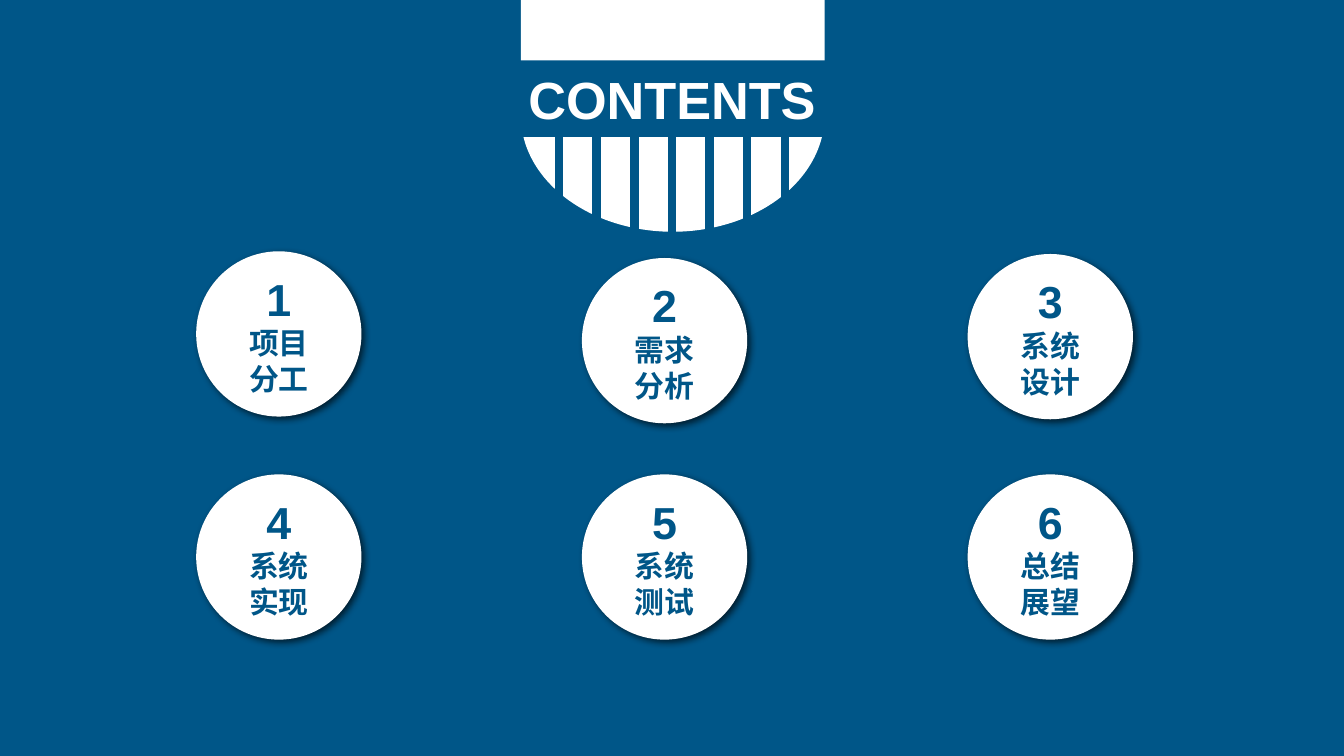
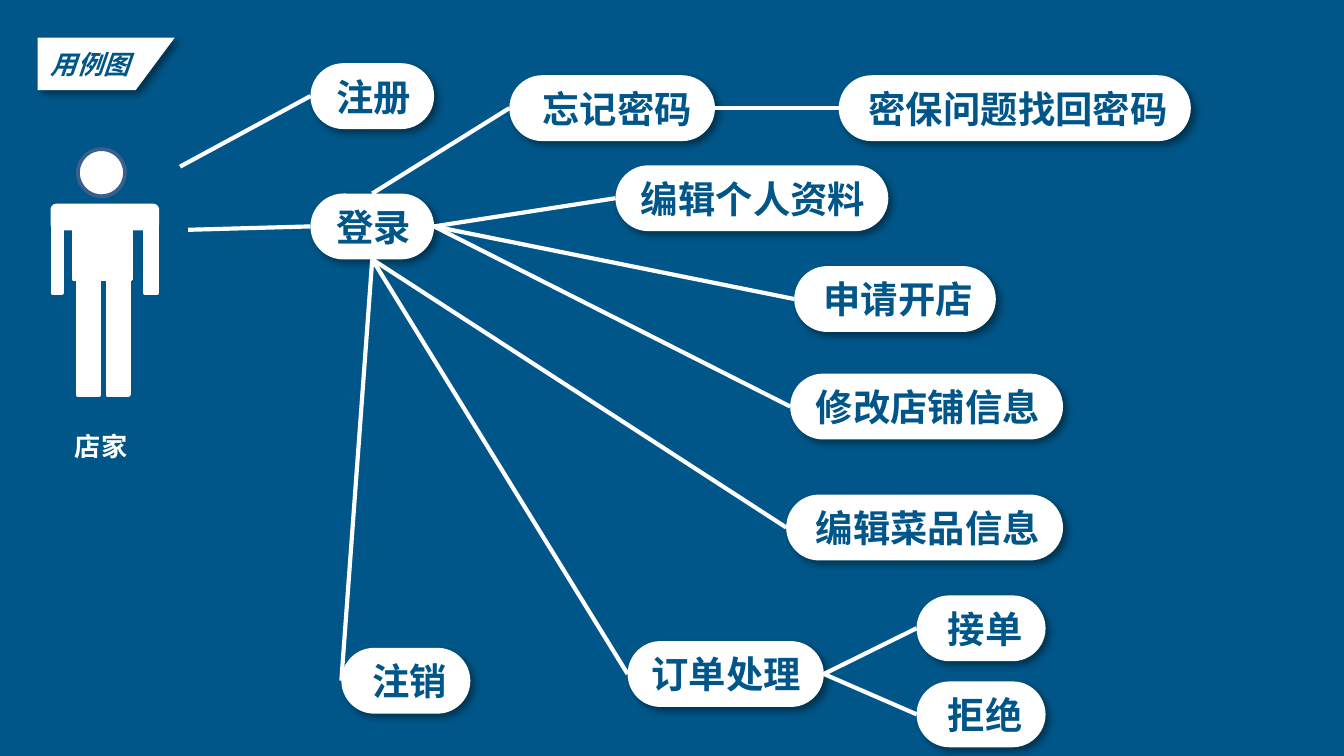
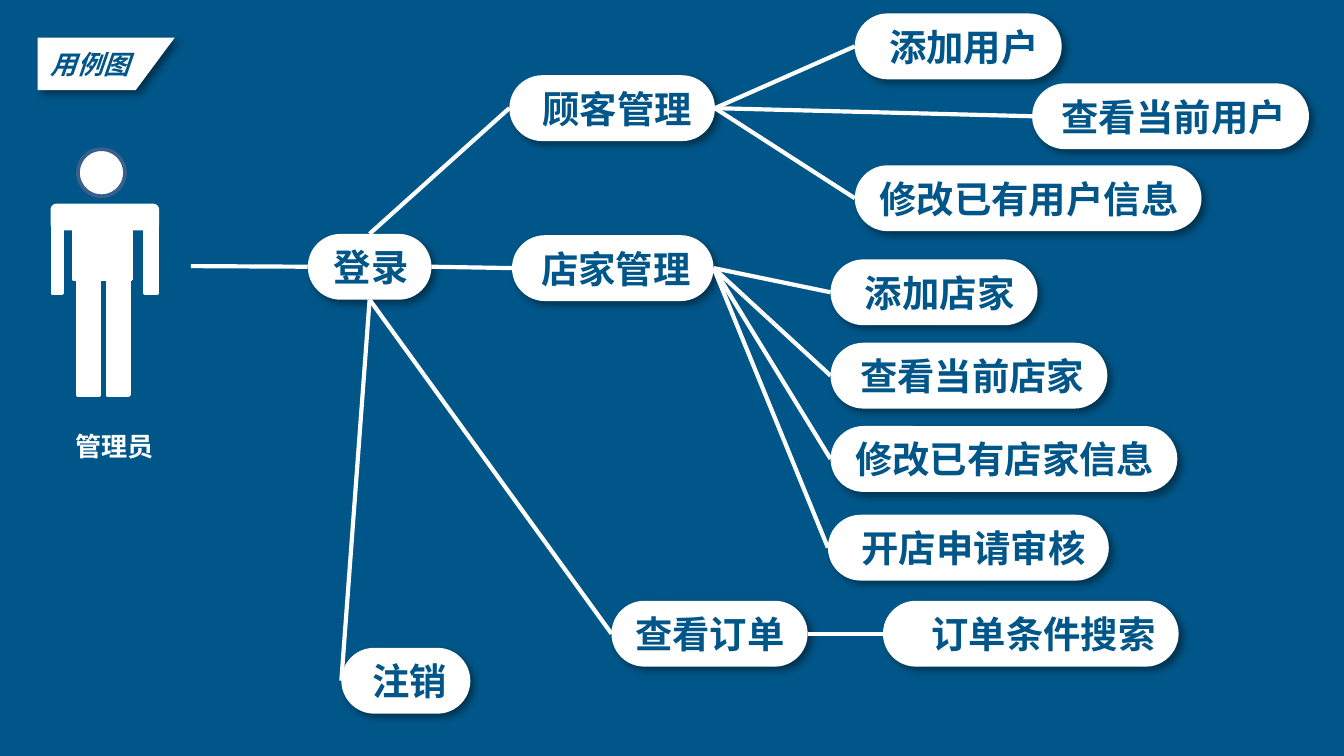
from dataclasses import dataclass
from typing import NamedTuple, Optional

from lxml.etree import SubElement
from pptx import Presentation
from pptx.dml.color import RGBColor
from pptx.enum.shapes import MSO_CONNECTOR, MSO_SHAPE
from pptx.enum.text import MSO_ANCHOR, MSO_AUTO_SIZE, PP_ALIGN
from pptx.oxml.ns import qn
from pptx.util import Inches, Pt


class Shadow(NamedTuple):
    opacity: int
    blur: int
    distance: int


@dataclass(frozen=True)
class Theme:
    blue: RGBColor = RGBColor(0x00, 0x56, 0x88)
    white: RGBColor = RGBColor(0xFF, 0xFF, 0xFF)
    head_line: RGBColor = RGBColor(0x3A, 0x5F, 0x8C)
    latin: str = "Arial"
    chinese: str = "Noto Sans CJK SC"
    title: int = 28
    number: int = 24
    pill: int = 20
    topic: int = 16
    label: int = 14
    link: float = 2.25
    stripe: float = 4.5
    figure: float = 2
    circle_shadow: Shadow = Shadow(65, 4, 2)
    pill_shadow: Shadow = Shadow(40, 4, 3)


class Box(NamedTuple):
    left: float
    top: float
    width: float
    height: float


class Topic(NamedTuple):
    top: float
    lines: tuple[str, str]


class Pill(NamedTuple):
    text: str
    left: float
    top: float
    width: float


class Link(NamedTuple):
    source: str
    side: int
    target: str


class ActorLink(NamedTuple):
    x: float
    y: float
    target: str


class UseCases(NamedTuple):
    actor: str
    label_width: float
    pills: list[Pill]
    actor_links: list[ActorLink]
    links: list[Link]


THEME = Theme()
TOP, LEFT, BOTTOM, RIGHT = range(4)
PILL_HEIGHT = 0.49
CIRCLE = 1.23
COLUMN_LEFT, COLUMN_STEP = 1.46, 2.87
STRIPE_LEFT, STRIPE_STEP, STRIPE_COUNT = 4.16, 0.28, 7

TOPICS = [
    Topic(1.87, ("项目", "分工")),
    Topic(1.92, ("需求", "分析")),
    Topic(1.89, ("系统", "设计")),
    Topic(3.53, ("系统", "实现")),
    Topic(3.53, ("系统", "测试")),
    Topic(3.53, ("总结", "展望")),
]

HEAD = Box(0.58, 1.11, 0.35, 0.35)
SHOULDERS = Box(0.39, 1.53, 0.78, 0.17)
BODY = [
    Box(0.55, 1.54, 0.43, 0.54),
    Box(0.39, 1.56, 0.07, 0.62),
    Box(1.08, 1.56, 0.09, 0.62),
    Box(0.58, 2.08, 0.16, 0.86),
    Box(0.80, 2.08, 0.16, 0.86),
]

SHOPKEEPER = UseCases(
    "店家", 0.63,
    [
        Pill("注册", 2.31, 0.47, 0.92),
        Pill("登录", 2.31, 1.44, 0.92),
        Pill("忘记密码", 3.79, 0.56, 1.53),
        Pill("密保问题找回密码", 6.24, 0.56, 2.62),
        Pill("编辑个人资料", 4.58, 1.23, 2.03),
        Pill("申请开店", 5.91, 1.98, 1.5),
        Pill("修改店铺信息", 5.88, 2.78, 2.03),
        Pill("编辑菜品信息", 5.85, 3.68, 2.06),
        Pill("订单处理", 4.67, 4.77, 1.46),
        Pill("接单", 6.82, 4.43, 0.96),
        Pill("拒绝", 6.82, 5.07, 0.96),
        Pill("注销", 2.54, 4.82, 0.96),
    ],
    [ActorLink(1.34, 1.24, "注册"), ActorLink(1.4, 1.71, "登录")],
    [
        Link("登录", TOP, "忘记密码"),
        Link("忘记密码", RIGHT, "密保问题找回密码"),
        Link("登录", RIGHT, "编辑个人资料"),
        Link("登录", RIGHT, "申请开店"),
        Link("登录", RIGHT, "修改店铺信息"),
        Link("登录", BOTTOM, "编辑菜品信息"),
        Link("登录", BOTTOM, "订单处理"),
        Link("登录", BOTTOM, "注销"),
        Link("订单处理", RIGHT, "接单"),
        Link("订单处理", RIGHT, "拒绝"),
    ],
)

ADMINISTRATOR = UseCases(
    "管理员", 0.88,
    [
        Pill("登录", 2.29, 1.74, 0.92),
        Pill("顾客管理", 3.79, 0.56, 1.53),
        Pill("添加用户", 6.36, 0.1, 1.54),
        Pill("查看当前用户", 7.68, 0.62, 2.06),
        Pill("修改已有用户信息", 6.36, 1.23, 2.58),
        Pill("店家管理", 3.81, 1.75, 1.5),
        Pill("添加店家", 6.18, 1.93, 1.54),
        Pill("查看当前店家", 6.18, 2.55, 2.06),
        Pill("修改已有店家信息", 6.18, 3.17, 2.58),
        Pill("开店申请审核", 6.16, 3.83, 2.09),
        Pill("查看订单", 4.55, 4.47, 1.46),
        Pill("订单条件搜索", 6.57, 4.47, 2.2),
        Pill("注销", 2.54, 4.82, 0.96),
    ],
    [ActorLink(1.42, 1.98, "登录")],
    [
        Link("登录", TOP, "顾客管理"),
        Link("顾客管理", RIGHT, "添加用户"),
        Link("顾客管理", RIGHT, "查看当前用户"),
        Link("顾客管理", RIGHT, "修改已有用户信息"),
        Link("登录", RIGHT, "店家管理"),
        Link("店家管理", RIGHT, "添加店家"),
        Link("店家管理", RIGHT, "查看当前店家"),
        Link("店家管理", RIGHT, "修改已有店家信息"),
        Link("店家管理", RIGHT, "开店申请审核"),
        Link("登录", BOTTOM, "查看订单"),
        Link("查看订单", RIGHT, "订单条件搜索"),
        Link("登录", BOTTOM, "注销"),
    ],
)


def new_slide(prs):
    s = prs.slides.add_slide(prs.slide_layouts[6])
    s.background.fill.solid()
    s.background.fill.fore_color.rgb = THEME.blue
    return s


def paint(sp, fill: RGBColor = THEME.white, line: Optional[RGBColor] = None,
          shadow: Optional[Shadow] = None) -> None:
    sp.fill.solid()
    sp.fill.fore_color.rgb = fill
    if line is None:
        sp.line.fill.background()
    else:
        sp.line.color.rgb = line
        sp.line.width = Pt(THEME.figure)
    sp.shadow.inherit = False
    if shadow:
        effects = sp._element.spPr.find(qn("a:effectLst"))
        outer = SubElement(effects, qn("a:outerShdw"), blurRad=str(Pt(shadow.blur)),
                           dist=str(Pt(shadow.distance)), dir=str(45 * 60000),
                           algn="tl", rotWithShape="0")
        color = SubElement(outer, qn("a:srgbClr"), val="000000")
        SubElement(color, qn("a:alpha"), val=str(shadow.opacity * 1000))


def add_box(s, kind: MSO_SHAPE, box: Box, **style):
    sp = s.shapes.add_shape(kind, *map(Inches, box))
    paint(sp, **style)
    return sp


def write(p, text: str, size: int, color: RGBColor = THEME.blue, font: str = THEME.chinese,
          align: PP_ALIGN = PP_ALIGN.LEFT, italic: bool = False) -> None:
    p.add_run().text = text
    p.alignment = align
    p.font.size = Pt(size)
    p.font.bold = True
    p.font.italic = italic
    p.font.color.rgb = color
    p.font.name = font
    SubElement(p._p.pPr.find(qn("a:defRPr")), qn("a:ea"), typeface=font)


def add_line(s, x1: float, y1: float, x2: float, y2: float,
             color: RGBColor = THEME.white, width: float = THEME.link):
    line = s.shapes.add_connector(MSO_CONNECTOR.STRAIGHT, *map(Inches, (x1, y1, x2, y2)))
    line.line.color.rgb = color
    line.line.width = Pt(width)
    SubElement(line._element.spPr, qn("a:effectLst"))
    return line


def add_circle(s, index: int, topic: Topic) -> None:
    left = COLUMN_LEFT + index % 3 * COLUMN_STEP
    sp = add_box(s, MSO_SHAPE.OVAL, Box(left, topic.top, CIRCLE, CIRCLE),
                 shadow=THEME.circle_shadow)
    tf = sp.text_frame
    tf.word_wrap = True
    tf.vertical_anchor = MSO_ANCHOR.MIDDLE
    write(tf.paragraphs[0], str(index + 1), THEME.number, font=THEME.latin,
          align=PP_ALIGN.CENTER)
    for text in topic.lines:
        write(tf.add_paragraph(), text, THEME.topic, align=PP_ALIGN.CENTER)


def contents_slide(prs) -> None:
    s = new_slide(prs)
    badge = add_box(s, MSO_SHAPE.FLOWCHART_DELAY, Box(4.14, -0.27, 1.73, 2.26))
    badge.rotation = 90
    band = add_box(s, MSO_SHAPE.RECTANGLE, Box(3.62, 0.45, 2.76, 0.57), fill=THEME.blue)
    tf = band.text_frame
    tf.word_wrap = True
    tf.auto_size = MSO_AUTO_SIZE.SHAPE_TO_FIT_TEXT
    tf.vertical_anchor = MSO_ANCHOR.TOP
    write(tf.paragraphs[0], "CONTENTS", THEME.title, THEME.white, THEME.latin,
          PP_ALIGN.CENTER)
    for i in range(STRIPE_COUNT):
        x = STRIPE_LEFT + i * STRIPE_STEP
        add_line(s, x, 0.99, x, 1.89, THEME.blue, THEME.stripe)
    for i, topic in enumerate(TOPICS):
        add_circle(s, i, topic)


def add_tag(s, text: str) -> None:
    builder = s.shapes.build_freeform(Inches(0.28), Inches(0.28))
    corners = [(1.3, 0.28), (1.01, 0.67), (0.28, 0.67)]
    builder.add_line_segments([(Inches(x), Inches(y)) for x, y in corners], close=True)
    sp = builder.convert_to_shape()
    paint(sp, shadow=THEME.pill_shadow)
    tf = sp.text_frame
    tf.word_wrap = True
    tf.vertical_anchor = MSO_ANCHOR.MIDDLE
    write(tf.paragraphs[0], text, THEME.label, italic=True)


def add_actor(s, name: str, label_width: float) -> None:
    add_box(s, MSO_SHAPE.OVAL, HEAD, line=THEME.head_line)
    for part in BODY:
        add_box(s, MSO_SHAPE.RECTANGLE, part, line=THEME.white)
    add_box(s, MSO_SHAPE.ROUNDED_RECTANGLE, SHOULDERS, line=THEME.white)
    label = s.shapes.add_textbox(*map(Inches, (0.46, 3.04, label_width, 0.45)))
    tf = label.text_frame
    tf.word_wrap = True
    tf.auto_size = MSO_AUTO_SIZE.SHAPE_TO_FIT_TEXT
    p = tf.paragraphs[0]
    p.line_spacing = 1.5
    write(p, name, THEME.label, THEME.white)


def add_pill(s, pill: Pill):
    sp = add_box(s, MSO_SHAPE.ROUNDED_RECTANGLE,
                 Box(pill.left, pill.top, pill.width, PILL_HEIGHT),
                 shadow=THEME.pill_shadow)
    sp.adjustments[0] = 0.5
    tf = sp.text_frame
    tf.word_wrap = True
    tf.vertical_anchor = MSO_ANCHOR.MIDDLE
    write(tf.paragraphs[0], pill.text, THEME.pill, align=PP_ALIGN.RIGHT)
    return sp


def use_case_slide(prs, cases: UseCases) -> None:
    s = new_slide(prs)
    add_tag(s, "用例图")
    add_actor(s, cases.actor, cases.label_width)
    pills = {pill.text: add_pill(s, pill) for pill in cases.pills}
    for start in cases.actor_links:
        line = add_line(s, start.x, start.y, start.x, start.y)
        line.end_connect(pills[start.target], LEFT)
    for link in cases.links:
        line = add_line(s, 0, 0, 0, 0)
        line.begin_connect(pills[link.source], link.side)
        line.end_connect(pills[link.target], LEFT)


def main() -> None:
    prs = Presentation()
    prs.slide_width = Inches(10)
    prs.slide_height = prs.slide_width * 9 // 16
    contents_slide(prs)
    for cases in (SHOPKEEPER, ADMINISTRATOR):
        use_case_slide(prs, cases)
    prs.save("out.pptx")


if __name__ == "__main__":
    main()
